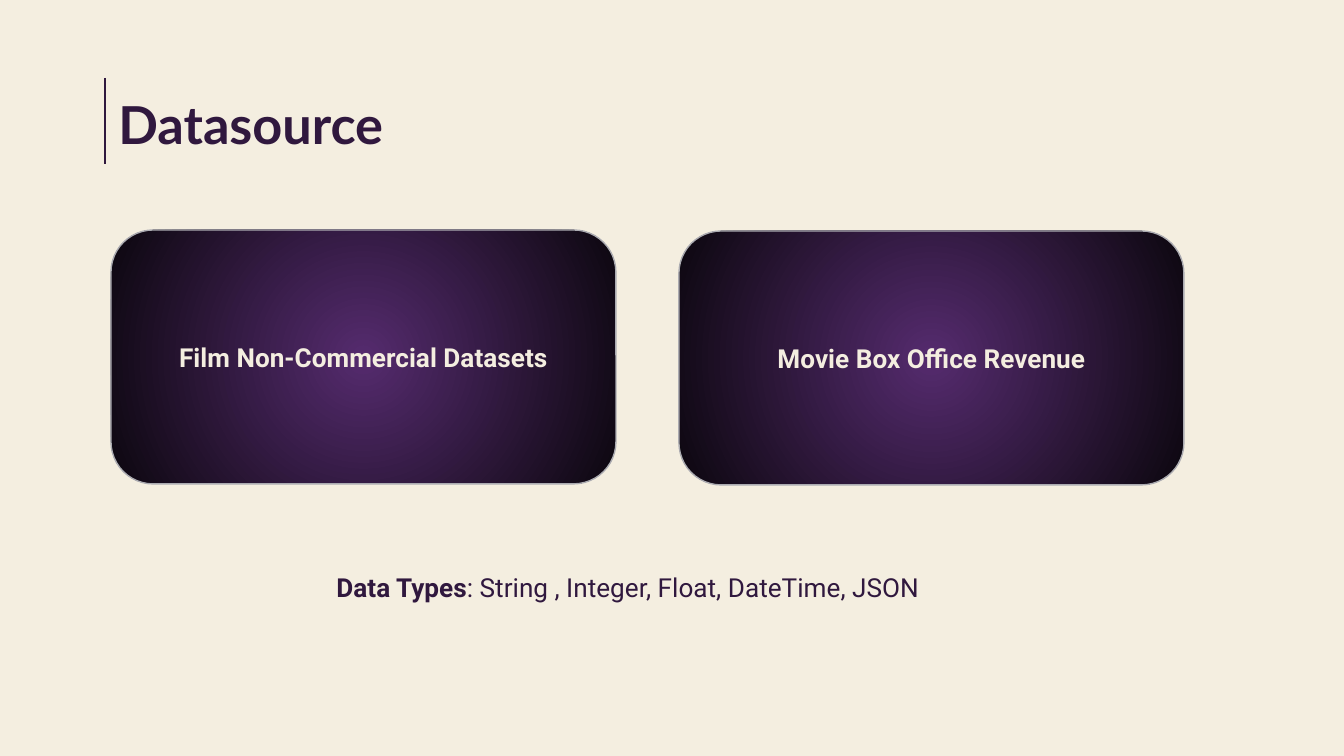
from lxml import etree
from pptx import Presentation
from pptx import util as u
from pptx.dml.color import RGBColor
from pptx.enum import shapes, text
from pptx.oxml import ns

INK, CREAM, EDGE = "30183E", "F4EEE0", "ABABB1"
GLOW = ("552B6E", "0C070F")
TITLE = "Datasource"
CARDS = [
    ("Film Non-Commercial Datasets", 111, 230),
    ("Movie Box Office Revenue", 679, 231),
]
TYPES = [("Data Types", True), (": String , Integer, Float, DateTime, JSON", False)]
CARD_W, CARD_H = 505, 254


def px(n):
    return round(n * 914400 / 134.4)


def rgb(code):
    return RGBColor.from_string(code)


def put(obj, **vals):
    for key, val in vals.items():
        setattr(obj, key, val)


def place(shape, x, y, w, h):
    put(shape, left=px(x), top=px(y), width=px(w), height=px(h))


def write(shape, runs, size, face, color, align, anchor):
    frame = shape.text_frame
    pad = u.Inches(0.1)
    put(frame, word_wrap=True, auto_size=text.MSO_AUTO_SIZE.NONE,
        vertical_anchor=anchor, margin_left=pad, margin_right=pad,
        margin_top=pad, margin_bottom=pad)
    para = frame.paragraphs[0]
    put(para, alignment=align, space_before=u.Pt(0))
    for words, bold in runs:
        run = para.add_run()
        run.text = words
        put(run.font, size=u.Pt(size), name=face, bold=bold)
        run.font.color.rgb = rgb(color)


def glow(shape):
    fill = shape.fill
    fill.gradient()
    for stop, code in zip(fill.gradient_stops, GLOW):
        stop.color.rgb = rgb(code)
    grad = shape.element.spPr.find(ns.qn("a:gradFill"))
    lin = grad.find(ns.qn("a:lin"))
    ring = etree.Element(ns.qn("a:path"), {"path": "circle"})
    sides = {side: "50000" for side in "ltrb"}
    etree.SubElement(ring, ns.qn("a:fillToRect"), sides)
    grad.replace(lin, ring)


def main():
    deck = Presentation()
    put(deck, slide_width=px(1344), slide_height=px(756))
    slide = deck.slides.add_slide(deck.slide_layouts[0])
    back = slide.background.fill
    back.solid()
    back.fore_color.rgb = rgb(CREAM)
    left, center = text.PP_ALIGN.LEFT, text.PP_ALIGN.CENTER
    top, middle = text.MSO_ANCHOR.TOP, text.MSO_ANCHOR.MIDDLE

    bar = slide.shapes.add_connector(
        shapes.MSO_CONNECTOR.STRAIGHT, px(105), px(78), px(105), px(164))
    bar.line.color.rgb = rgb(INK)
    bar.line.width = u.Pt(0.75)
    etree.SubElement(bar.element.spPr, ns.qn("a:effectLst"))

    title, types = slide.placeholders
    place(title, 105, 79, 1134, 85)
    write(title, [(TITLE, True)], 28, "Lato", INK, left, top)
    place(types, 323, 557, 642, 60)
    write(types, TYPES, 14, "Roboto", INK, left, middle)

    for label, x, y in CARDS:
        card = slide.shapes.add_shape(
            shapes.MSO_SHAPE.ROUNDED_RECTANGLE, px(x), px(y), px(CARD_W), px(CARD_H))
        card.shadow.inherit = False
        card.line.color.rgb = rgb(EDGE)
        card.line.width = u.Pt(0.75)
        glow(card)
        write(card, [(label, True)], 14, "Roboto", CREAM, center, middle)

    deck.save("out.pptx")


if __name__ == "__main__":
    main()
